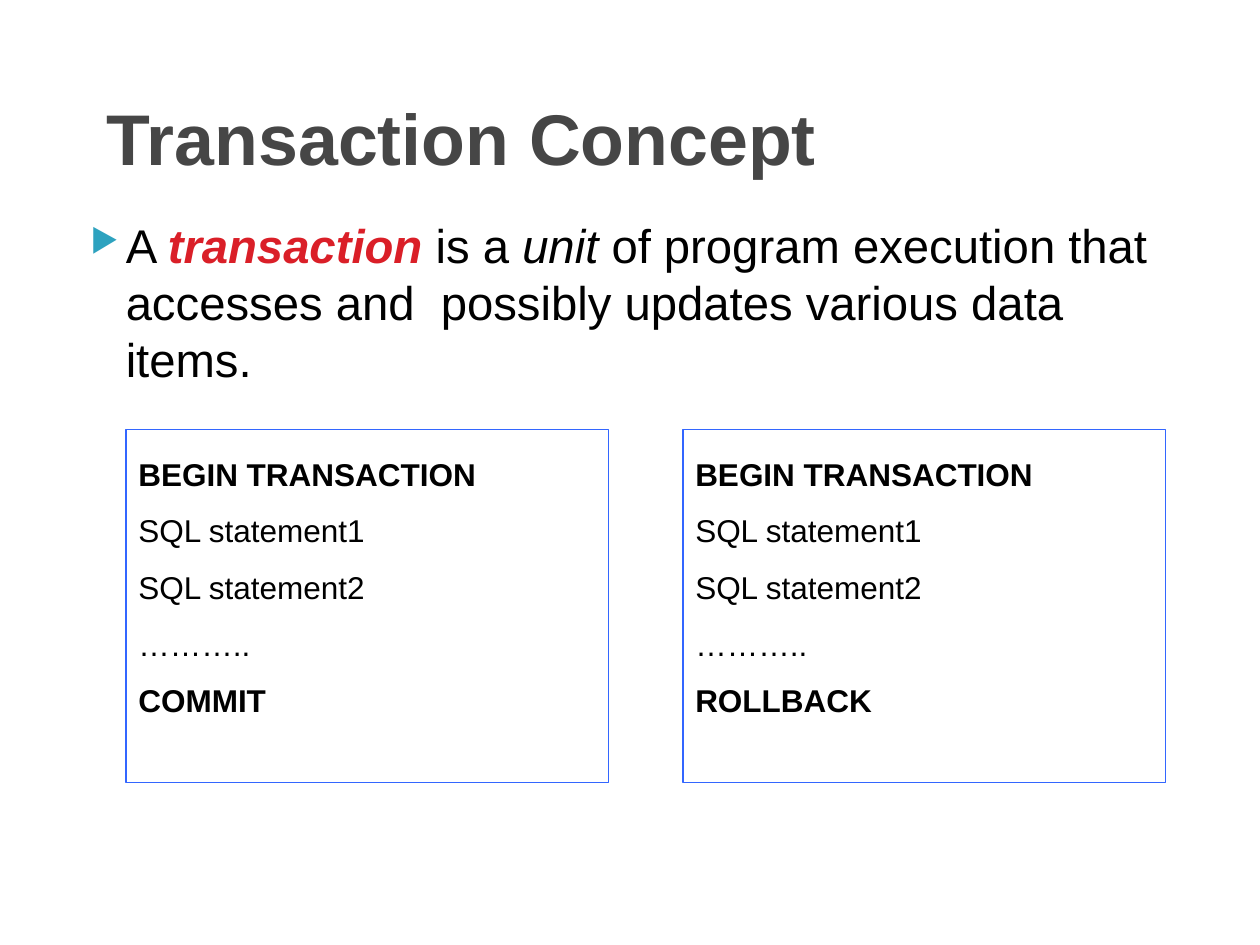
from lxml import etree
from pptx import Presentation
from pptx.dml.color import RGBColor
from pptx.enum.shapes import MSO_SHAPE
from pptx.enum.text import MSO_ANCHOR, PP_ALIGN
from pptx.oxml.ns import qn
from pptx.util import Inches, Pt

RECTANGLE = MSO_SHAPE.RECTANGLE
TOP, MIDDLE = MSO_ANCHOR.TOP, MSO_ANCHOR.MIDDLE
LEFT = PP_ALIGN.LEFT

BLACK = RGBColor(0x00, 0x00, 0x00)
GRAY = RGBColor(0x46, 0x46, 0x46)
RED = RGBColor(0xDA, 0x1F, 0x28)
BLUE = RGBColor(0x33, 0x66, 0xFF)
TEAL = RGBColor(0x2D, 0xA2, 0xBF)

DEFINITION = [
    ("A ", {}),
    ("transaction ", {"color": RED, "bold": True, "italic": True}),
    ("is a ", {}),
    ("unit ", {"italic": True}),
    ("of program execution that accesses and  possibly updates various data items.", {}),
]
STATEMENTS = ["SQL statement1", "SQL statement2", "……….."]


def add_run(p, text, size, color=BLACK, **formats):
    """Add a run of Arial text with the given format values."""
    r = p.add_run()
    r.text = text
    r.font.color.rgb = color
    for name, value in {"name": "Arial", "size": Pt(size), **formats}.items():
        setattr(r.font, name, value)


def add_bullet(p, char, color, percent, left, hanging):
    """Give a paragraph a coloured bullet with a hanging indent."""
    pPr = p._p.get_or_add_pPr()
    pPr.set("marL", str(left))
    pPr.set("indent", str(-hanging))
    clr = etree.SubElement(pPr, qn("a:buClr"))
    etree.SubElement(clr, qn("a:srgbClr"), val=str(color))
    etree.SubElement(pPr, qn("a:buSzPct"), val=str(percent * 1000))
    etree.SubElement(pPr, qn("a:buChar"), char=char)


def add_title(slide, box, text):
    """Place the slide title in the box."""
    tf = slide.shapes.add_textbox(*box).text_frame
    tf.word_wrap = True
    tf.vertical_anchor = MIDDLE
    add_run(tf.paragraphs[0], text, 41, GRAY, bold=True)


def add_definition(slide, box, parts):
    """Place the bulleted definition in the box."""
    tf = slide.shapes.add_textbox(*box).text_frame
    tf.word_wrap = True
    p = tf.paragraphs[0]
    add_bullet(p, "▶", TEAL, 68, Inches(0.4), Inches(0.28))
    for text, formats in parts:
        add_run(p, text, 27, **formats)


def add_transaction(slide, box, ending):
    """Place an outlined transaction that closes with the given command."""
    sp = slide.shapes.add_shape(RECTANGLE, *box)
    sp.shadow.inherit = False
    sp.fill.background()
    sp.line.color.rgb = BLUE
    sp.line.width = Pt(0.75)
    tf = sp.text_frame
    tf.word_wrap = True
    tf.vertical_anchor = TOP
    commands = ["BEGIN TRANSACTION", *STATEMENTS, ending]
    for i, text in enumerate(commands):
        p = tf.add_paragraph() if i else tf.paragraphs[0]
        p.alignment = LEFT
        p.line_spacing = 1.5
        add_run(p, text, 18, bold=text not in STATEMENTS)


def main():
    """Build the slide and save it."""
    prs = Presentation()
    prs.slide_width, prs.slide_height = Inches(10), Inches(7.5)
    s = prs.slides.add_slide(prs.slide_layouts[6])
    add_title(s, [Inches(v) for v in (0.75, 0.67, 8.5, 0.83)], "Transaction Concept")
    add_definition(s, [Inches(v) for v in (0.5, 1.67, 9, 1.58)], DEFINITION)
    for left, ending in ((1, "COMMIT"), (5.42, "ROLLBACK")):
        add_transaction(s, [Inches(v) for v in (left, 3.41, 3.83, 2.8)], ending)
    prs.save("out.pptx")


if __name__ == "__main__":
    main()
